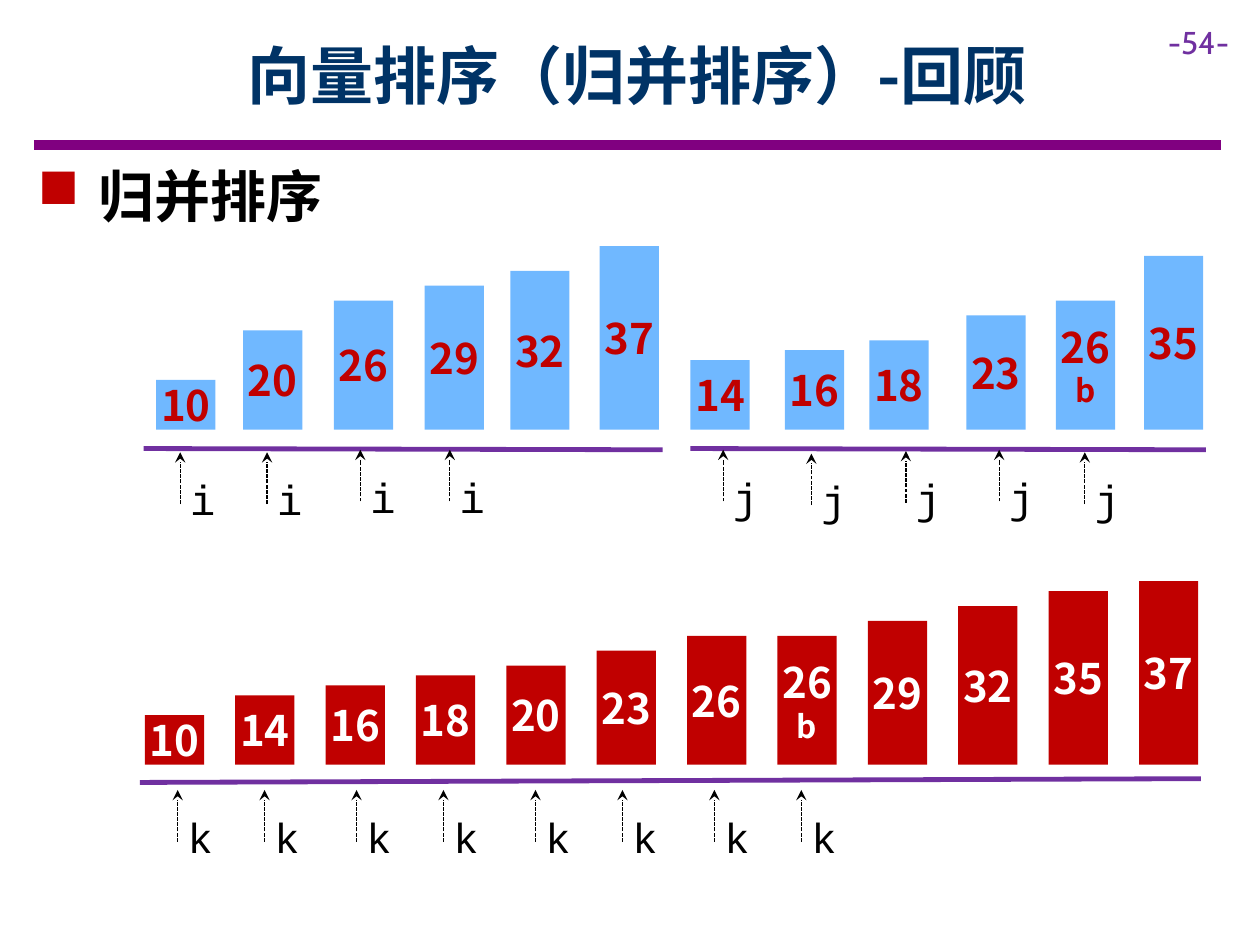
from dataclasses import dataclass

from lxml.etree import SubElement
from pptx import Presentation
from pptx.dml.color import RGBColor
from pptx.enum.dml import MSO_LINE
from pptx.enum.shapes import MSO_CONNECTOR, MSO_SHAPE
from pptx.enum.text import MSO_ANCHOR, PP_ALIGN
from pptx.oxml.ns import qn
from pptx.util import Inches, Pt


@dataclass(frozen=True)
class Theme:
    sans: str = "Noto Sans CJK SC"
    mono: str = "Courier New"
    number_font: str = "Cabin"
    title_color: str = "003366"
    rule_color: str = "800080"
    accent: str = "7030A0"
    red: str = "C00000"
    blue: str = "70B8FF"
    black: str = "000000"
    white: str = "FFFFFF"
    title_size: int = 36
    heading_size: int = 32
    value_size: int = 24
    small_size: int = 18


BAR_WIDTH = 0.47
UNIT_HEIGHT = 1 / 25.4  # one millimetre of bar height per unit of value
ARROW_LENGTH = 0.41


class SlideBuilder:
    def __init__(self, slide, theme):
        self.slide = slide
        self.theme = theme

    def run(self, paragraph, text, font, size, color, bold=False):
        run = paragraph.add_run()
        run.text = text
        run.font.name = font
        run.font.size = Pt(size)
        run.font.bold = bold
        run.font.color.rgb = RGBColor.from_string(color)
        SubElement(run.font._element, qn("a:ea"), typeface=font)

    def title(self, text, left, top, width, height):
        title = self.slide.shapes.title
        title.left, title.top = Inches(left), Inches(top)
        title.width, title.height = Inches(width), Inches(height)
        title.text_frame.word_wrap = True
        title.text_frame.vertical_anchor = MSO_ANCHOR.MIDDLE
        paragraph = title.text_frame.paragraphs[0]
        paragraph.alignment = PP_ALIGN.CENTER
        self.run(paragraph, text, self.theme.sans, self.theme.title_size,
                 self.theme.title_color, bold=True)

    def text_box(self, left, top, width, height, wrap=True, shapes=None):
        """Add a text box and return its first paragraph."""
        shapes = self.slide.shapes if shapes is None else shapes
        box = shapes.add_textbox(Inches(left), Inches(top),
                                 Inches(width), Inches(height))
        box.text_frame.word_wrap = wrap
        return box.text_frame.paragraphs[0]

    def page_number(self, text):
        paragraph = self.text_box(9.17, 0.13, 0.83, 0.4)
        self.run(paragraph, text, self.theme.number_font,
                 self.theme.small_size, self.theme.accent)

    def bullet_heading(self, text, left, top, width, height):
        paragraph = self.text_box(left, top, width, height)
        properties = paragraph._p.get_or_add_pPr()
        indent = Inches(0.38)
        properties.set("marL", str(indent))
        properties.set("indent", str(-indent))
        bullet_color = SubElement(properties, qn("a:buClr"))
        SubElement(bullet_color, qn("a:srgbClr"), val=self.theme.red)
        SubElement(properties, qn("a:buChar"), char="■")
        paragraph.space_after = Pt(6)
        self.run(paragraph, text, self.theme.sans, self.theme.heading_size,
                 self.theme.black, bold=True)

    def line(self, start, end, color, width, shapes=None):
        shapes = self.slide.shapes if shapes is None else shapes
        line = shapes.add_connector(MSO_CONNECTOR.STRAIGHT,
                                    *map(Inches, (*start, *end)))
        line.line.color.rgb = RGBColor.from_string(color)
        line.line.width = Pt(width)
        SubElement(line._element.spPr, qn("a:effectLst"))
        return line

    def bar(self, label, left, bottom, fill, color):
        """Add a bar as tall as its value; a letter after it goes on a second line."""
        value, *suffix = label.split()
        height = int(value) * UNIT_HEIGHT
        bar = self.slide.shapes.add_shape(
            MSO_SHAPE.RECTANGLE, Inches(left), Inches(bottom - height),
            Inches(BAR_WIDTH), Inches(height))
        bar.shadow.inherit = False
        bar.fill.solid()
        bar.fill.fore_color.rgb = RGBColor.from_string(fill)
        bar.line.fill.background()
        frame = bar.text_frame
        frame.word_wrap = True
        frame.vertical_anchor = MSO_ANCHOR.MIDDLE
        frame.margin_left = frame.margin_right = 0
        frame.margin_top = frame.margin_bottom = Inches(0.1)
        paragraph = frame.paragraphs[0]
        paragraph.alignment = PP_ALIGN.CENTER
        self.run(paragraph, value, self.theme.sans, self.theme.value_size,
                 color, bold=True)
        for letter in suffix:
            paragraph = frame.add_paragraph()
            paragraph.alignment = PP_ALIGN.CENTER
            self.run(paragraph, letter, self.theme.sans,
                     self.theme.small_size, color, bold=True)

    def pointer(self, index_name, x, tip):
        """Group a dashed upward arrow with the index name at its foot."""
        group = self.slide.shapes.add_group_shape()
        paragraph = self.text_box(x - 0.02, tip + 0.12, 0.39, 0.5,
                                  wrap=False, shapes=group.shapes)
        self.run(paragraph, index_name, self.theme.mono,
                 self.theme.value_size, self.theme.black)
        arrow = self.line((x, tip + ARROW_LENGTH), (x, tip),
                          self.theme.black, 0.75, shapes=group.shapes)
        arrow.line.dash_style = MSO_LINE.SQUARE_DOT
        SubElement(arrow.line._get_or_add_ln(), qn("a:tailEnd"), type="stealth")


def main():
    theme = Theme()
    deck = Presentation()
    deck.slide_width, deck.slide_height = Inches(10), Inches(7.5)
    page = SlideBuilder(deck.slides.add_slide(deck.slide_layouts[5]), theme)

    page.line((0.27, 1.15), (9.69, 1.15), theme.rule_color, 6)
    page.page_number("-54-")
    page.title("向量排序（归并排序）-回顾", 0.9, 0.09, 8.31, 1)
    page.bullet_heading(" 归并排序", 0.2, 1.23, 9.45, 0.64)

    merged = ["10", "14", "16", "18", "20", "23",
              "26", "26 b", "29", "32", "35", "37"]
    first_left, last_left = 1.15, 9.04
    pitch = (last_left - first_left) / (len(merged) - 1)
    for position, label in enumerate(merged):
        page.bar(label, first_left + position * pitch, 6.07,
                 theme.red, theme.white)

    halves = [
        ("10", 1.24), ("20", 1.93), ("26", 2.65),
        ("29", 3.37), ("32", 4.05), ("37", 4.76),
        ("14", 5.48), ("16", 6.23), ("18", 6.9),
        ("23", 7.67), ("26 b", 8.38), ("35", 9.08),
    ]
    for label, left in halves:
        page.bar(label, left, 3.41, theme.blue, theme.red)

    for start, end in [((1.11, 6.21), (9.53, 6.18)),
                       ((1.14, 3.56), (5.26, 3.57)),
                       ((5.48, 3.56), (9.57, 3.57))]:
        page.line(start, end, theme.accent, 2.75)

    half_pointers = {
        "i": [(1.43, 3.59), (2.12, 3.59), (2.86, 3.57), (3.57, 3.57)],
        "j": [(5.74, 3.57), (6.44, 3.6), (7.19, 3.58), (7.93, 3.57), (8.61, 3.59)],
    }
    for index_name, tips in half_pointers.items():
        for x, tip in tips:
            page.pointer(index_name, x, tip)

    for pair in range(4):
        for offset in (1.41, 2.1):
            page.pointer("k", offset + pair * 1.42, 6.27)

    deck.save("out.pptx")


if __name__ == "__main__":
    main()
